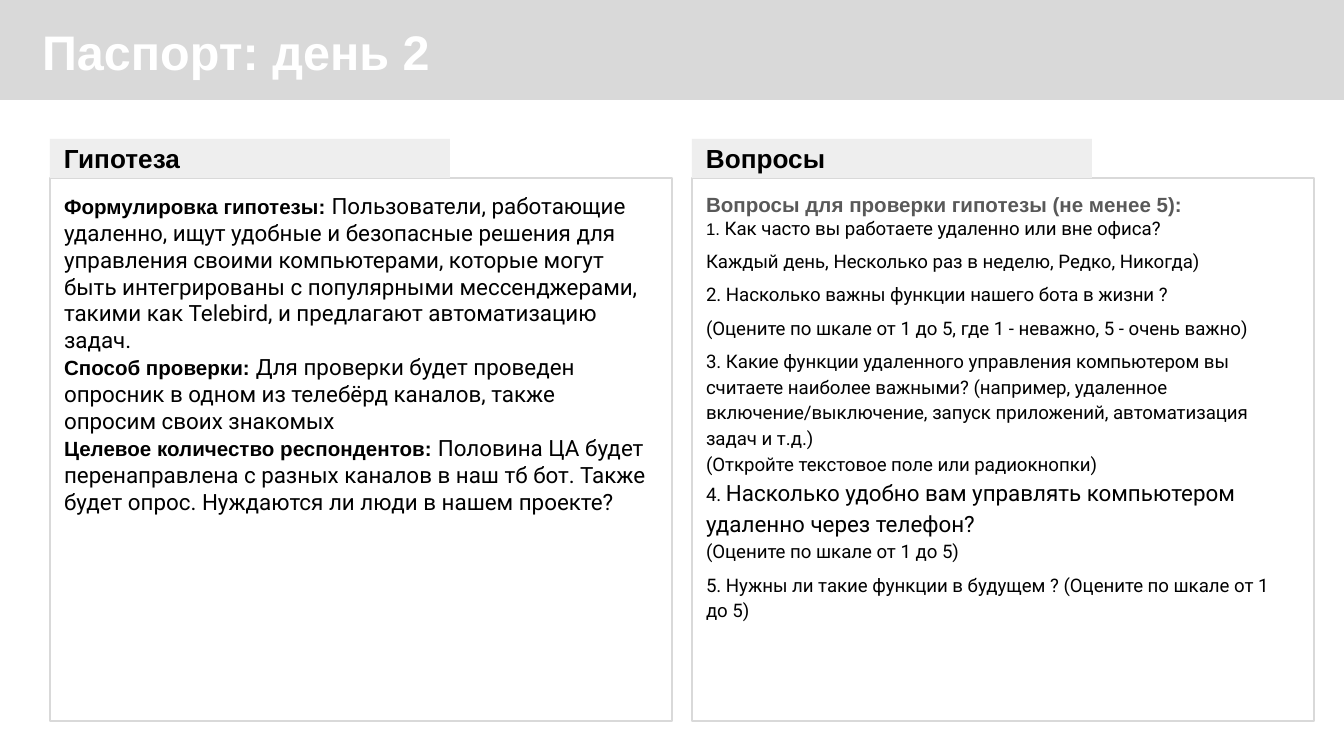
from dataclasses import dataclass

from lxml import etree
from pptx import Presentation
from pptx.dml.color import RGBColor
from pptx.enum.shapes import MSO_SHAPE
from pptx.enum.text import MSO_ANCHOR, MSO_AUTO_SIZE, PP_ALIGN
from pptx.oxml.ns import qn
from pptx.util import Emu, Pt

RECT = MSO_SHAPE.RECTANGLE
TOP, MIDDLE = MSO_ANCHOR.TOP, MSO_ANCHOR.MIDDLE
LEFT = PP_ALIGN.LEFT
NO_AUTOFIT = MSO_AUTO_SIZE.NONE
TWO_CONTENT = 3
EMU_PER_PX = 914400 / 134.4
INSET, RIGHT_INSET = 14, 21


@dataclass(frozen=True)
class Theme:
    white: str = "FFFFFF"
    black: str = "000000"
    grey: str = "595959"
    band: str = "D9D9D9"
    tab: str = "EEEEEE"
    head_font: str = "Arial"
    body_font: str = "Roboto"
    title: int = 26
    heading: int = 14
    large: int = 12
    label: int = 11
    body: int = 10
    number: int = 9


T = Theme()


@dataclass(frozen=True)
class Box:
    x: int
    y: int
    w: int
    h: int


@dataclass(frozen=True)
class Run:
    text: str
    size: int = T.body
    font: str = T.body_font
    bold: bool = False
    color: str = T.black


@dataclass(frozen=True)
class Para:
    runs: tuple[Run, ...]
    line: float = 1.0
    before: int = 0


@dataclass(frozen=True)
class Panel:
    heading: str
    x: int
    text_h: int
    paras: tuple[Para, ...]


def px(n: int) -> Emu:
    return Emu(round(n * EMU_PER_PX))


def label(text: str, color: str = T.black) -> Run:
    return Run(text, T.label, T.head_font, True, color)


def answer(name: str, text: str) -> Para:
    return Para((label(name + ": "), Run(text, T.large)))


def line(*runs: Run, before: int = 0) -> Para:
    return Para(runs, 1.15, before)


PANELS = (
    Panel("Гипотеза", 50, 403, (
        answer("Формулировка гипотезы",
               "Пользователи, работающие удаленно, ищут удобные и безопасные решения "
               "для управления своими компьютерами, которые могут быть интегрированы "
               "с популярными мессенджерами, такими как Telebird, и предлагают "
               "автоматизацию задач."),
        answer("Способ проверки",
               "Для проверки будет проведен опросник в одном из телебёрд каналов, "
               "также опросим своих знакомых"),
        answer("Целевое количество респондентов",
               "Половина ЦА будет перенаправлена с разных каналов в наш тб бот. "
               "Также будет опрос. Нуждаются ли люди в нашем проекте?"),
    )),
    Panel("Вопросы", 692, 491, (
        Para((label("Вопросы для проверки гипотезы (не менее 5):", T.grey),)),
        Para((Run("1. ", T.number, T.head_font),
              Run("Как часто вы работаете удаленно или вне офиса?"))),
        line(Run("Каждый день, Несколько раз в неделю, Редко, Никогда)"), before=4),
        line(Run("2. Насколько важны функции нашего бота в жизни ?"), before=4),
        line(Run("(Оцените по шкале от 1 до 5, где 1 - неважно, 5 - очень важно)"), before=4),
        line(Run("3. Какие функции удаленного управления компьютером вы считаете "
                 "наиболее важными? (например, удаленное включение/выключение, "
                 "запуск приложений, автоматизация задач и т.д.)"), before=4),
        line(Run("(Откройте текстовое поле или радиокнопки)")),
        line(Run("4. "),
             Run("Насколько удобно вам управлять компьютером удаленно через телефон?", T.large)),
        line(Run("(Оцените по шкале от 1 до 5)")),
        line(Run("5. Нужны ли такие функции в будущем ? (Оцените по шкале от 1 до 5)"), before=4),
    )),
)


def add_rect(slide, box: Box, fill: str, border: str | None = None):
    sp = slide.shapes.add_shape(RECT, px(box.x), px(box.y), px(box.w), px(box.h))
    sp.shadow.inherit = False
    sp.fill.solid()
    sp.fill.fore_color.rgb = RGBColor.from_string(fill)
    if border:
        sp.line.color.rgb = RGBColor.from_string(border)
        sp.line.width = Pt(0.75)
    else:
        sp.line.fill.background()
    return sp


def place(slide, sp, box: Box) -> None:
    """Position a placeholder and bring it in front of the shapes drawn so far."""
    sp.left, sp.top, sp.width, sp.height = px(box.x), px(box.y), px(box.w), px(box.h)
    slide.shapes._spTree.append(sp._element)


def add_run(p, text: str, *, size: int, font: str, bold: bool, color: str) -> None:
    r = p.add_run()
    r.text = text
    r.font.size = Pt(size)
    r.font.name = font
    r.font.bold = bold
    r.font.color.rgb = RGBColor.from_string(color)


def write(sp, paras: tuple[Para, ...], anchor=TOP) -> None:
    tf = sp.text_frame
    tf.word_wrap = True
    tf.auto_size = NO_AUTOFIT
    tf.vertical_anchor = anchor
    tf.margin_left = tf.margin_top = tf.margin_bottom = px(INSET)
    tf.margin_right = px(RIGHT_INSET)
    for i, para in enumerate(paras):
        p = tf.add_paragraph() if i else tf.paragraphs[0]
        pPr = p._p.get_or_add_pPr()
        pPr.set("marL", "0")
        pPr.set("indent", "0")
        etree.SubElement(pPr, qn("a:buNone"))
        p.alignment = LEFT
        p.line_spacing = para.line
        p.space_before = Pt(para.before)
        p.space_after = Pt(0)
        for run in para.runs:
            add_run(p, run.text, size=run.size, font=run.font, bold=run.bold, color=run.color)


def heading(text: str, size: int, color: str) -> tuple[Para, ...]:
    return (Para((Run(text, size, T.head_font, True, color),)),)


def draw_panel(slide, body, panel: Panel) -> None:
    add_rect(slide, Box(panel.x, 178, 622, 543), T.white, T.band)
    place(slide, body, Box(panel.x, 178, 622, panel.text_h))
    write(body, panel.paras)
    tab = add_rect(slide, Box(panel.x, 139, 400, 39), T.tab)
    write(tab, heading(panel.heading, T.heading, T.black), MIDDLE)


def main() -> None:
    prs = Presentation()
    prs.slide_width, prs.slide_height = px(1344), px(756)
    slide = prs.slides.add_slide(prs.slide_layouts[TWO_CONTENT])
    title, *bodies = list(slide.placeholders)
    for spare in bodies[len(PANELS):]:
        slide.shapes._spTree.remove(spare._element)

    add_rect(slide, Box(0, 0, 1345, 100), T.band)
    place(slide, title, Box(28, 8, 1097, 86))
    write(title, heading("Паспорт: день 2", T.title, T.white))
    for body, panel in zip(bodies, PANELS):
        draw_panel(slide, body, panel)

    prs.save("out.pptx")


if __name__ == "__main__":
    main()
